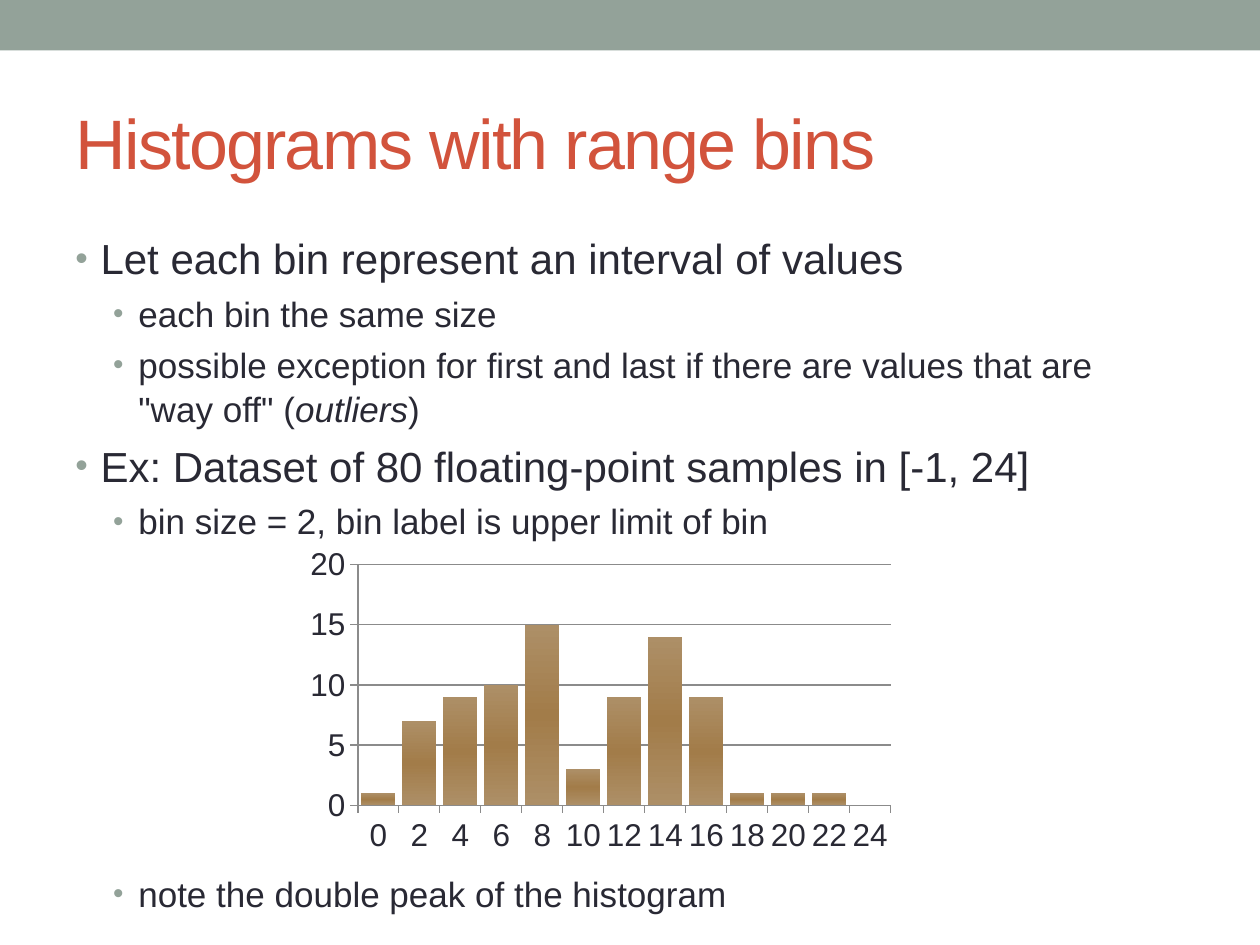
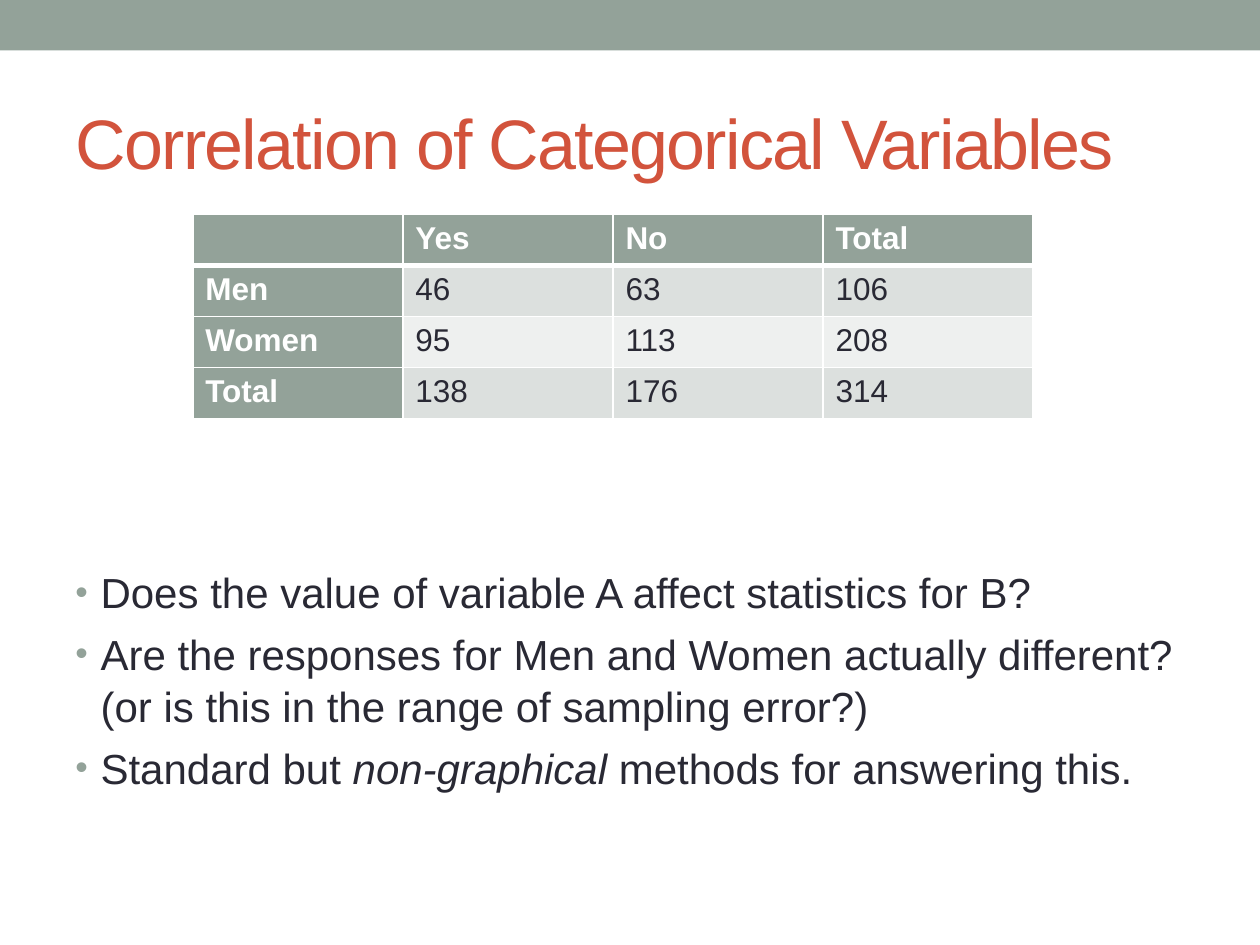
from lxml import etree
from pptx import Presentation
from pptx import util as u
from pptx.chart.data import CategoryChartData
from pptx.dml.color import RGBColor
from pptx.enum import chart as charts, shapes, text
from pptx.oxml.ns import qn

FONT = "Arial"
COLORS = {
    "band": "93A299", "title": "D2533C", "ink": "292934", "white": "FFFFFF",
    "row_dark": "DCE0DE", "row_light": "EEF0EF", "axis": "8B8B8B",
    "bar_edge": "AD8F67", "bar_middle": "A27C49",
}
LEVEL_SIZES = (24, 20)
LEVEL_INDENTS = (0.2, 0.5)
HANGING = 0.2

BIN_LABELS = range(0, 25, 2)
BIN_COUNTS = (1, 7, 9, 10, 15, 3, 9, 14, 9, 1, 1, 1, 0)
PLOT_AREA = {"x": 0.104, "y": 0.108, "w": 0.846, "h": 0.714}

RESPONSES = (
    ("", "Yes", "No", "Total"),
    ("Men", "46", "63", "106"),
    ("Women", "95", "113", "208"),
    ("Total", "138", "176", "314"),
)

BIN_RULES = (
    (0, ["Let each bin represent an interval of values"]),
    (1, ["each bin the same size"]),
    (1, ["possible exception for first and last if there are values that are \n"
         "\"way off\" (", "outliers", ")"]),
    (0, ["Ex: Dataset of 80 floating-point samples in [-1, 24]"]),
    (1, ["bin size = 2, bin label is upper limit of bin"]),
)
PEAK_NOTE = ((1, ["note the double peak of the histogram"]),)
QUESTIONS = (
    (0, ["Does the value of variable A affect statistics for B?"]),
    (0, ["Are the responses for Men and Women actually different?\n"
         "(or is this in the range of sampling error?)"]),
    (0, ["Standard but", " non-graphical", " methods for answering this."]),
)


def color(name):
    """Return the named colour."""
    return RGBColor.from_string(COLORS[name])


def inches(box):
    """Turn a box of numbers into lengths."""
    return [u.Inches(value) for value in box]


def style(font, size, name, bold=False, italic=False):
    """Set the face, size and colour of a font."""
    font.name, font.size = FONT, u.Pt(size)
    font.bold, font.italic = bold, italic
    font.color.rgb = color(name)


def add_element(parent, tag, **attributes):
    """Append an XML element with its attributes."""
    element = etree.SubElement(parent, qn(tag))
    for key, value in attributes.items():
        element.set(key, str(value))
    return element


def add_page(deck, title):
    """Add a slide with the top band and its title."""
    page = deck.slides.add_slide(deck.slide_layouts[5])
    band = page.shapes.add_shape(
        shapes.MSO_SHAPE.RECTANGLE, *inches((0, 0, 10, 0.4)))
    band.shadow.inherit = False
    band.fill.solid()
    band.fill.fore_color.rgb = color("band")
    band.line.fill.background()

    heading = page.shapes.title
    heading.left, heading.top, heading.width, heading.height = inches(
        (0.5, 0.58, 9, 1.08))
    frame = heading.text_frame
    frame.auto_size = text.MSO_AUTO_SIZE.NONE
    frame.vertical_anchor = text.MSO_ANCHOR.MIDDLE
    para = frame.paragraphs[0]
    para.alignment = text.PP_ALIGN.LEFT
    span = para.add_run()
    span.text = title
    style(span.font, 40, "title")
    span.font._element.set("spc", "-100")
    return page


def add_bullet(para, level):
    """Give a paragraph the bullet and indent of its level."""
    properties = para._p.get_or_add_pPr()
    properties.set("marL", str(u.Inches(LEVEL_INDENTS[level])))
    properties.set("indent", str(-u.Inches(HANGING)))
    tint = add_element(properties, "a:buClr")
    add_element(tint, "a:srgbClr", val=COLORS["band"])
    add_element(properties, "a:buSzPct", val=85000)
    add_element(properties, "a:buFont", typeface=FONT)
    add_element(properties, "a:buChar", char="•")


def add_bullets(page, box, items):
    """Write bulleted items, with every second span in italics."""
    frame = page.shapes.add_textbox(*inches(box)).text_frame
    frame.word_wrap = True
    for index, (level, spans) in enumerate(items):
        para = frame.add_paragraph() if index else frame.paragraphs[0]
        size = LEVEL_SIZES[level]
        para.level = level
        add_bullet(para, level)
        para.line_spacing = 1.05
        if index:
            para.space_before = u.Pt(0.2 * size)
        for order, words in enumerate(spans):
            for row, line in enumerate(words.split("\n")):
                if row:
                    para.add_line_break()
                span = para.add_run()
                span.text = line
                style(span.font, size, "ink", italic=order % 2 == 1)


def shade_bars(series):
    """Fill the bars with a vertical gradient that is darker in the middle."""
    fill = series.format.fill
    fill.gradient()
    fill.gradient_angle = 90
    stops = series._element.xpath("c:spPr/a:gradFill/a:gsLst")[0]
    for stop in list(stops):
        stops.remove(stop)
    for position, name in ((0, "bar_edge"), (50, "bar_middle"), (100, "bar_edge")):
        stop = add_element(stops, "a:gs", pos=position * 1000)
        add_element(stop, "a:srgbClr", val=COLORS[name])


def fix_plot_area(chart):
    """Pin the inner plot area to fractions of the chart."""
    plot_area = chart._chartSpace.chart.plotArea
    for layout in plot_area.findall(qn("c:layout")):
        plot_area.remove(layout)
    layout = etree.Element(qn("c:layout"))
    manual = add_element(layout, "c:manualLayout")
    add_element(manual, "c:layoutTarget", val="inner")
    for side in "xy":
        add_element(manual, f"c:{side}Mode", val="edge")
    for side, share in PLOT_AREA.items():
        add_element(manual, f"c:{side}", val=share)
    plot_area.insert(0, layout)


def add_histogram(page, box):
    """Draw the counts for each bin as columns."""
    data = CategoryChartData(number_format="0")
    data.categories = BIN_LABELS
    data.add_series("Series 1", BIN_COUNTS)
    chart = page.shapes.add_chart(
        charts.XL_CHART_TYPE.COLUMN_CLUSTERED, *inches(box), data).chart
    chart.has_legend = chart.has_title = False
    style(chart.font, 10, "ink")
    plot = chart.plots[0]
    plot.gap_width, plot.vary_by_categories = 20, False
    shade_bars(plot.series[0])

    counts = chart.value_axis
    counts.minimum_scale, counts.maximum_scale, counts.major_unit = 0, 20, 5
    counts.has_major_gridlines = True
    chart.category_axis.has_major_gridlines = False
    lines = [counts.major_gridlines.format.line]
    for axis in (chart.category_axis, counts):
        axis.major_tick_mark = charts.XL_TICK_MARK.OUTSIDE
        axis.tick_labels.number_format = "0"
        axis.tick_labels.number_format_is_linked = False
        style(axis.tick_labels.font, 18, "ink")
        lines.append(axis.format.line)
    for line in lines:
        line.width = u.Pt(0.75)
        line.color.rgb = color("axis")
    fix_plot_area(chart)


def add_borders(cell, row):
    """Draw white cell borders, thick below the header row."""
    widths = {"L": 1, "R": 1, "T": 3 if row == 1 else 1, "B": 3 if row == 0 else 1}
    properties = cell._tc.get_or_add_tcPr()
    for side, width in widths.items():
        line = add_element(properties, f"a:ln{side}", w=u.Pt(width))
        fill = add_element(line, "a:solidFill")
        add_element(fill, "a:srgbClr", val=COLORS["white"])


def add_responses(page, box):
    """Lay out the answers by group in a table with equal cells."""
    table = page.shapes.add_table(
        len(RESPONSES), len(RESPONSES[0]), *inches(box)).table
    table.first_col = True
    for row, values in enumerate(RESPONSES):
        for column, value in enumerate(values):
            cell = table.cell(row, column)
            heading = row == 0 or column == 0
            add_borders(cell, row)
            cell.fill.solid()
            cell.fill.fore_color.rgb = color(
                "band" if heading else "row_dark" if row % 2 else "row_light")
            if value:
                span = cell.text_frame.paragraphs[0].add_run()
                span.text = value
                style(span.font, 18, "white" if heading else "ink", bold=heading)


def build_histogram_page(deck):
    """Build the slide on range bins."""
    page = add_page(deck, "Histograms with range bins")
    add_bullets(page, (0.5, 1.78, 9, 2.5), BIN_RULES)
    add_histogram(page, (2.32, 4.19, 5, 2.68))
    add_bullets(page, (0.5, 6.86, 9, 0.45), PEAK_NOTE)


def build_correlation_page(deck):
    """Build the slide on categorical variables."""
    page = add_page(deck, "Correlation of Categorical Variables")
    add_responses(page, (1.53, 1.7, 6.67, 1.62))
    add_bullets(page, (0.5, 4.43, 9, 2.5), QUESTIONS)


def main():
    """Build and save the deck."""
    deck = Presentation()
    deck.slide_width, deck.slide_height = inches((10, 7.5))
    build_histogram_page(deck)
    build_correlation_page(deck)
    deck.save("out.pptx")


if __name__ == "__main__":
    main()
